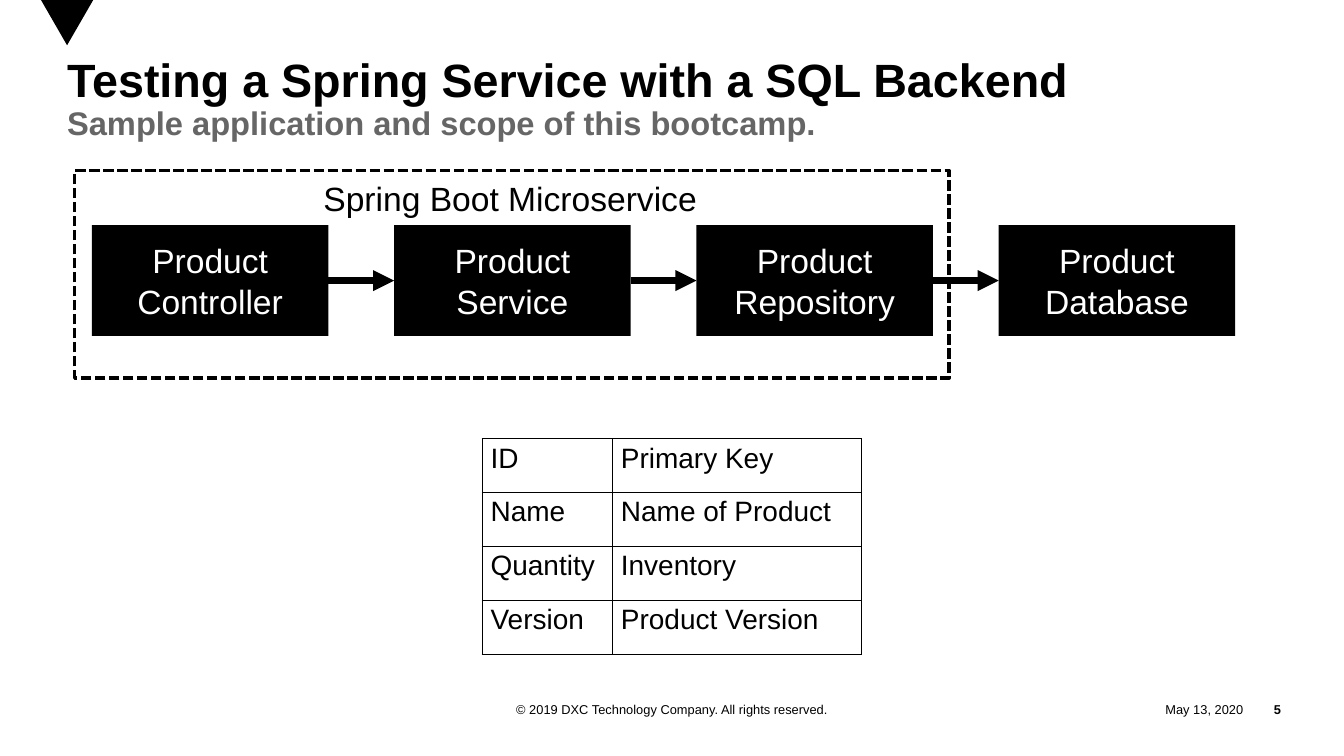
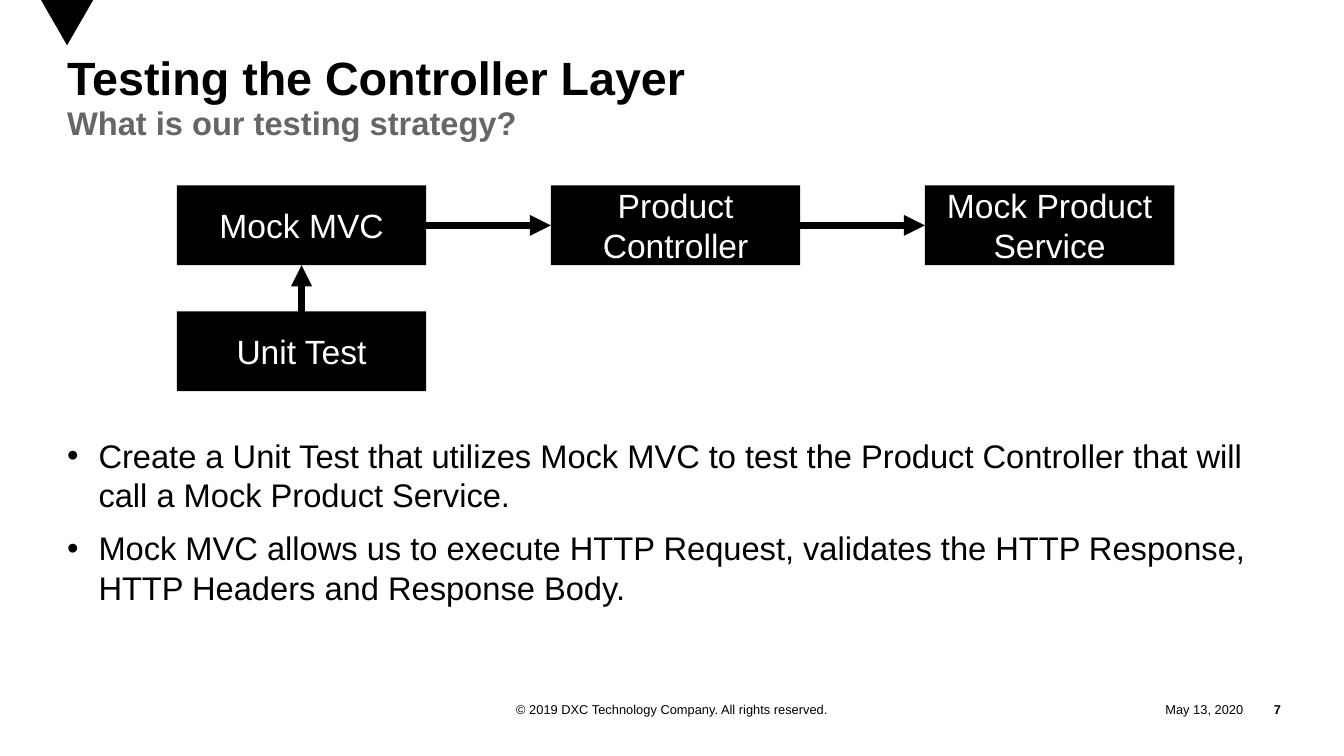
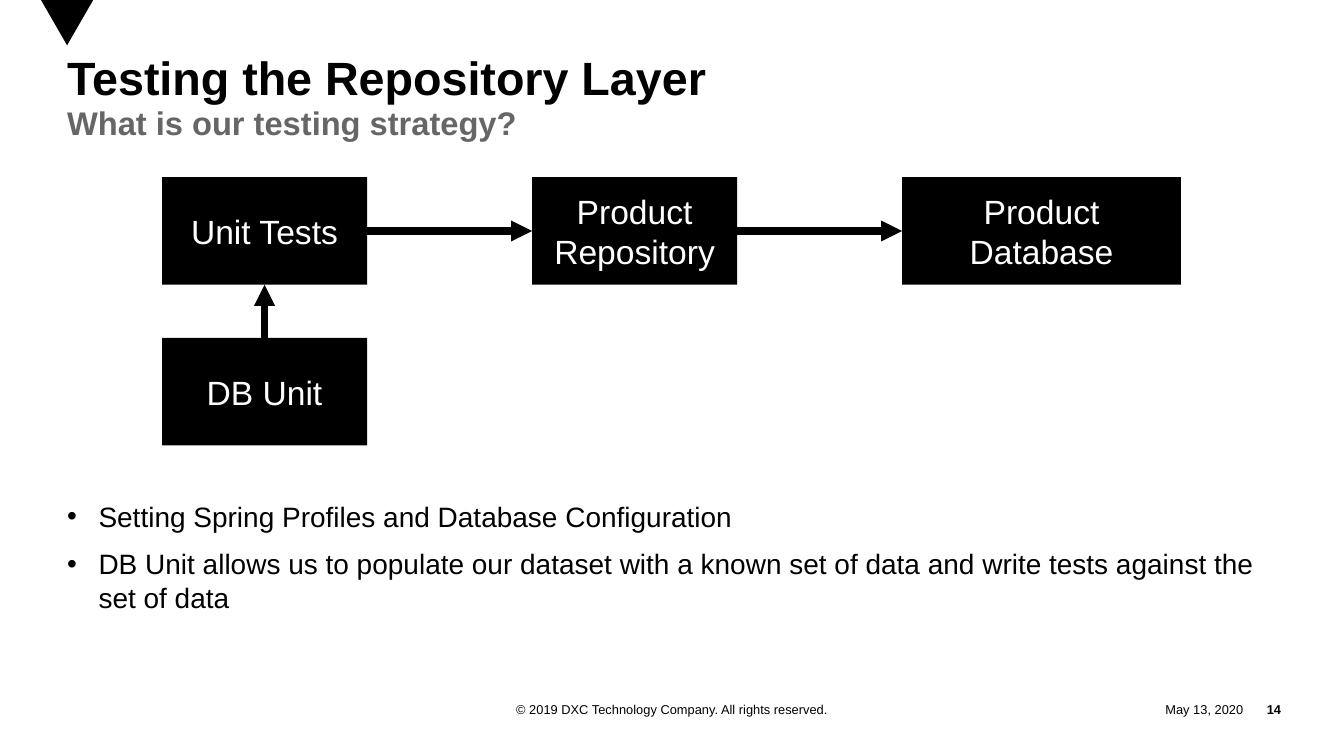
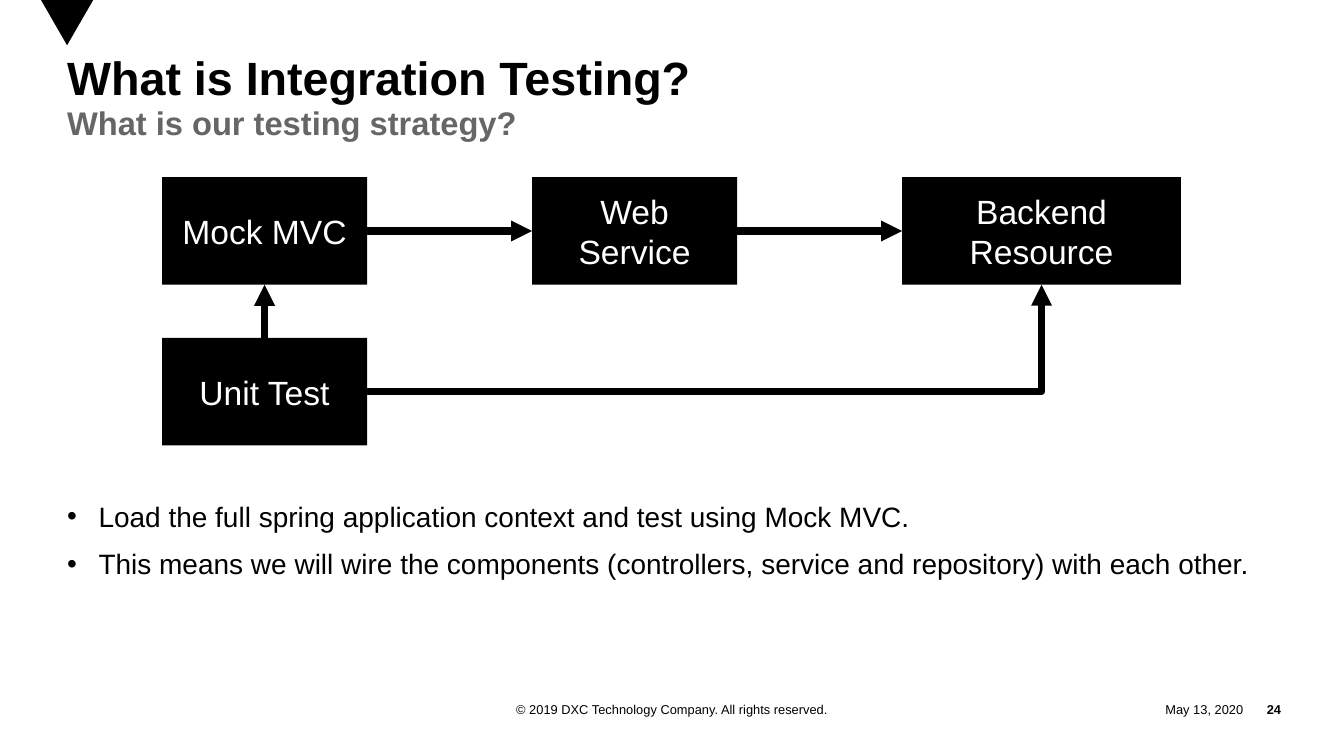
from dataclasses import dataclass
from itertools import pairwise

from lxml.etree import SubElement
from pptx import Presentation
from pptx.dml.color import RGBColor
from pptx.enum.dml import MSO_LINE
from pptx.enum.shapes import MSO_CONNECTOR, MSO_SHAPE
from pptx.enum.text import MSO_ANCHOR, PP_ALIGN
from pptx.oxml.ns import qn
from pptx.util import Cm, Pt


@dataclass(frozen=True)
class Theme:
    font: str = "Arial"
    black: RGBColor = RGBColor(0x00, 0x00, 0x00)
    white: RGBColor = RGBColor(0xFF, 0xFF, 0xFF)
    gray: RGBColor = RGBColor(0x66, 0x66, 0x66)
    title_size: float = 40
    subtitle_size: float = 28
    diagram_size: float = 28.8
    table_size: float = 24
    footer_size: float = 11
    arrow_width: float = 6
    frame_width: float = 3
    margin: float = 2.03
    content_width: float = 36.58


THEME = Theme()
TOP, LEFT, BOTTOM, RIGHT = range(4)
STRATEGY = "What is our testing strategy?"


def style_paragraph(paragraph, size, color=THEME.black, bold=False, align=PP_ALIGN.LEFT):
    paragraph.alignment = align
    for run in paragraph.runs:
        run.font.name = THEME.font
        run.font.size = Pt(size)
        run.font.bold = bold
        run.font.color.rgb = color


def add_text(slide, text, left, top, width, height, size, inset=0, wrap=True,
             anchor=MSO_ANCHOR.TOP, **style):
    shape = slide.shapes.add_textbox(Cm(left), Cm(top), Cm(width), Cm(height))
    frame = shape.text_frame
    frame.word_wrap = wrap
    frame.vertical_anchor = anchor
    frame.margin_left = frame.margin_right = Cm(inset)
    frame.margin_top = frame.margin_bottom = Cm(inset / 2)
    frame.text = text
    for paragraph in frame.paragraphs:
        style_paragraph(paragraph, size, **style)
    return frame


def add_bullets(slide, items, top, height, size):
    frame = add_text(slide, "\n".join(items), THEME.margin, top,
                     THEME.content_width, height, size)
    for index, paragraph in enumerate(frame.paragraphs):
        properties = paragraph._p.get_or_add_pPr()
        properties.set("marL", str(Cm(0.95)))
        properties.set("indent", str(-Cm(0.95)))
        if index:
            paragraph.space_before = Pt(12)
        SubElement(properties, qn("a:buFont"), typeface=THEME.font)
        SubElement(properties, qn("a:buChar"), char="•")


def add_marker(slide):
    builder = slide.shapes.build_freeform(Cm(1.24), 0)
    builder.add_line_segments([(Cm(2.03), Cm(1.37)), (Cm(2.82), 0)], close=True)
    shape = builder.convert_to_shape()
    shape.shadow.inherit = False
    shape.fill.solid()
    shape.fill.fore_color.rgb = THEME.black
    shape.line.fill.background()


def add_footer(slide, number):
    footer = dict(top=21.06, height=0.76, size=THEME.footer_size, anchor=MSO_ANCHOR.MIDDLE)
    add_text(slide, "May 13, 2020", 33.05, width=4.55, wrap=False,
             align=PP_ALIGN.RIGHT, **footer)
    add_text(slide, str(number), 37.6, width=1.14, bold=True,
             align=PP_ALIGN.RIGHT, **footer)
    add_text(slide, "© 2019 DXC Technology Company. All rights reserved.", 13.34,
             width=13.97, wrap=False, align=PP_ALIGN.CENTER, **footer)


def add_slide(presentation, number, title, subtitle, title_spacing=0.85):
    slide = presentation.slides.add_slide(presentation.slide_layouts[6])
    add_marker(slide)
    add_footer(slide, number)
    heading = add_text(slide, title, THEME.margin, 1.73, THEME.content_width, 1.37,
                       THEME.title_size, bold=True)
    heading.paragraphs[0].line_spacing = title_spacing
    add_text(slide, subtitle, THEME.margin, 3.12, THEME.content_width, 1.27,
             THEME.subtitle_size, color=THEME.gray, bold=True)
    return slide


def add_box(slide, text, left, top, width, height):
    shape = slide.shapes.add_shape(MSO_SHAPE.RECTANGLE, Cm(left), Cm(top), Cm(width), Cm(height))
    shape.shadow.inherit = False
    shape.fill.solid()
    shape.fill.fore_color.rgb = THEME.black
    shape.line.fill.background()
    shape.text_frame.word_wrap = True
    shape.text_frame.vertical_anchor = MSO_ANCHOR.MIDDLE
    shape.text_frame.text = text
    style_paragraph(shape.text_frame.paragraphs[0], THEME.diagram_size, THEME.white,
                    align=PP_ALIGN.CENTER)
    return shape


def add_arrow(slide, source, source_side, target, target_side, kind=MSO_CONNECTOR.STRAIGHT):
    connector = slide.shapes.add_connector(kind, 0, 0, 0, 0)
    connector.begin_connect(source, source_side)
    connector.end_connect(target, target_side)
    connector.line.color.rgb = THEME.black
    connector.line.width = Pt(THEME.arrow_width)
    SubElement(connector.line._get_or_add_ln(), qn("a:tailEnd"), type="triangle")
    properties = connector._element.spPr
    SubElement(properties, qn("a:effectLst"))
    if kind == MSO_CONNECTOR.ELBOW:
        properties.find(qn("a:prstGeom")).set("prst", "bentConnector2")


def add_chain(slide, labels, left, top, pitch, widths, height):
    boxes = [add_box(slide, label, left + index * pitch, top, width, height)
             for index, (label, width) in enumerate(zip(labels, widths))]
    for source, target in pairwise(boxes):
        add_arrow(slide, source, RIGHT, target, LEFT)
    return boxes


def add_test_diagram(slide, labels, base_label, left, top, pitch, widths, height, drop):
    boxes = add_chain(slide, labels, left, top, pitch, widths, height)
    base = add_box(slide, base_label, left, top + drop, widths[0], height)
    add_arrow(slide, base, TOP, boxes[0], BOTTOM)
    return boxes, base


def add_layer_diagram(slide, labels, base_label):
    return add_test_diagram(slide, labels, base_label, left=4.9, top=5.36, pitch=11.19,
                            widths=[6.2, 6.2, 8.43], height=3.25, drop=4.86)


def add_frame(slide, label):
    shape = slide.shapes.add_shape(MSO_SHAPE.RECTANGLE, Cm(2.26), Cm(5.16), Cm(26.44), Cm(6.27))
    shape.shadow.inherit = False
    shape.fill.background()
    shape.line.color.rgb = THEME.black
    shape.line.width = Pt(THEME.frame_width)
    shape.line.dash_style = MSO_LINE.SQUARE_DOT
    add_text(slide, label, 9.53, 5.26, 11.91, 1.5, THEME.diagram_size, inset=0.25, wrap=False)


def add_border(cell):
    properties = cell._tc.get_or_add_tcPr()
    for side in ("lnL", "lnR", "lnT", "lnB"):
        line = SubElement(properties, qn(f"a:{side}"), w=str(Pt(1)))
        fill = SubElement(line, qn("a:solidFill"))
        SubElement(fill, qn("a:srgbClr"), val=str(THEME.black))


def add_grid(slide, rows, left, top, widths, row_height):
    graphic = slide.shapes.add_table(len(rows), len(widths), Cm(left), Cm(top),
                                     Cm(sum(widths)), Cm(row_height * len(rows)))
    table = graphic.table
    table.first_row = table.horz_banding = False
    for column, width in zip(table.columns, widths):
        column.width = Cm(width)
    for row, texts in zip(table.rows, rows):
        row.height = Cm(row_height)
        for cell, text in zip(row.cells, texts):
            add_border(cell)
            cell.fill.background()
            cell.text_frame.text = text
            style_paragraph(cell.text_frame.paragraphs[0], THEME.table_size)


def build_overview(presentation):
    slide = add_slide(presentation, 5, "Testing a Spring Service with a SQL Backend",
                      "Sample application and scope of this bootcamp.", title_spacing=0.9)
    labels = ["Product Controller", "Product Service", "Product Repository", "Product Database"]
    add_chain(slide, labels, left=2.78, top=6.81, pitch=9.14, widths=[7.15] * 4, height=3.35)
    rows = [
        ("ID", "Primary Key"),
        ("Name", "Name of Product"),
        ("Quantity", "Inventory"),
        ("Version", "Product Version"),
    ]
    add_grid(slide, rows, left=14.58, top=13.26, widths=[3.94, 7.52], row_height=1.63)
    add_frame(slide, "Spring Boot Microservice")


def build_controller(presentation):
    slide = add_slide(presentation, 7, "Testing the Controller Layer", STRATEGY)
    add_test_diagram(slide, ["Mock MVC", "Product Controller", "Mock Product Service"],
                     "Unit Test", left=5.35, top=5.61, pitch=11.31, widths=[7.54] * 3,
                     height=2.41, drop=3.81)
    add_bullets(slide, [
        "Create a Unit Test that utilizes Mock MVC to test the Product Controller that will "
        "call a Mock Product Service.",
        "Mock MVC allows us to execute HTTP Request, validates the HTTP Response, "
        "HTTP Headers and Response Body.",
    ], top=13.18, height=7.14, size=28)


def build_repository(presentation):
    slide = add_slide(presentation, 14, "Testing the Repository Layer", STRATEGY)
    add_layer_diagram(slide, ["Unit Tests", "Product Repository", "Product Database"], "DB Unit")
    add_bullets(slide, [
        "Setting Spring Profiles and Database Configuration",
        "DB Unit allows us to populate our dataset with a known set of data and write tests "
        "against the set of data",
    ], top=15.09, height=4.72, size=24)


def build_integration(presentation):
    slide = add_slide(presentation, 24, "What is Integration Testing?", STRATEGY)
    boxes, base = add_layer_diagram(slide, ["Mock MVC", "Web Service", "Backend Resource"],
                                    "Unit Test")
    add_arrow(slide, base, RIGHT, boxes[-1], BOTTOM, MSO_CONNECTOR.ELBOW)
    add_bullets(slide, [
        "Load the full spring application context and test using Mock MVC.",
        "This means we will wire the components (controllers, service and repository) "
        "with each other.",
    ], top=15.09, height=4.72, size=24)


def main():
    presentation = Presentation()
    presentation.slide_width = Cm(40.64)
    presentation.slide_height = Cm(22.86)
    build_overview(presentation)
    build_controller(presentation)
    build_repository(presentation)
    build_integration(presentation)
    presentation.save("out.pptx")


if __name__ == "__main__":
    main()
